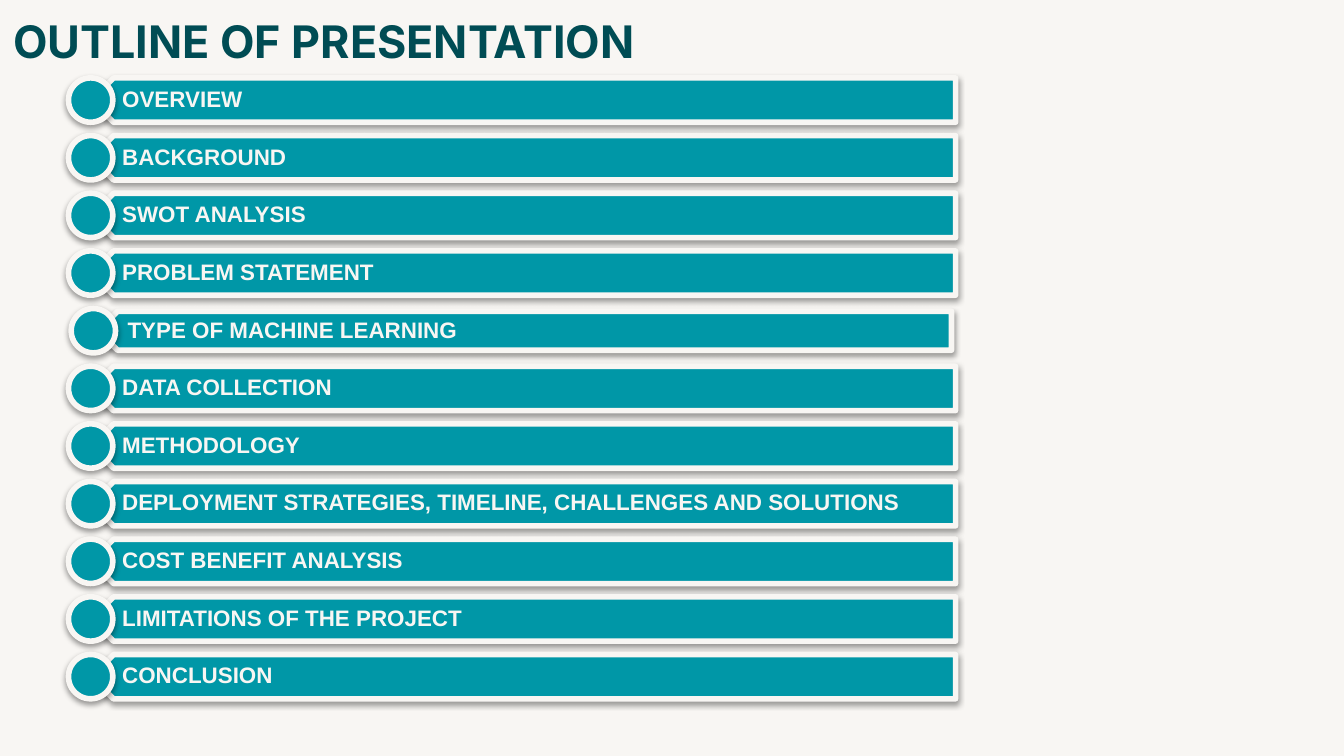
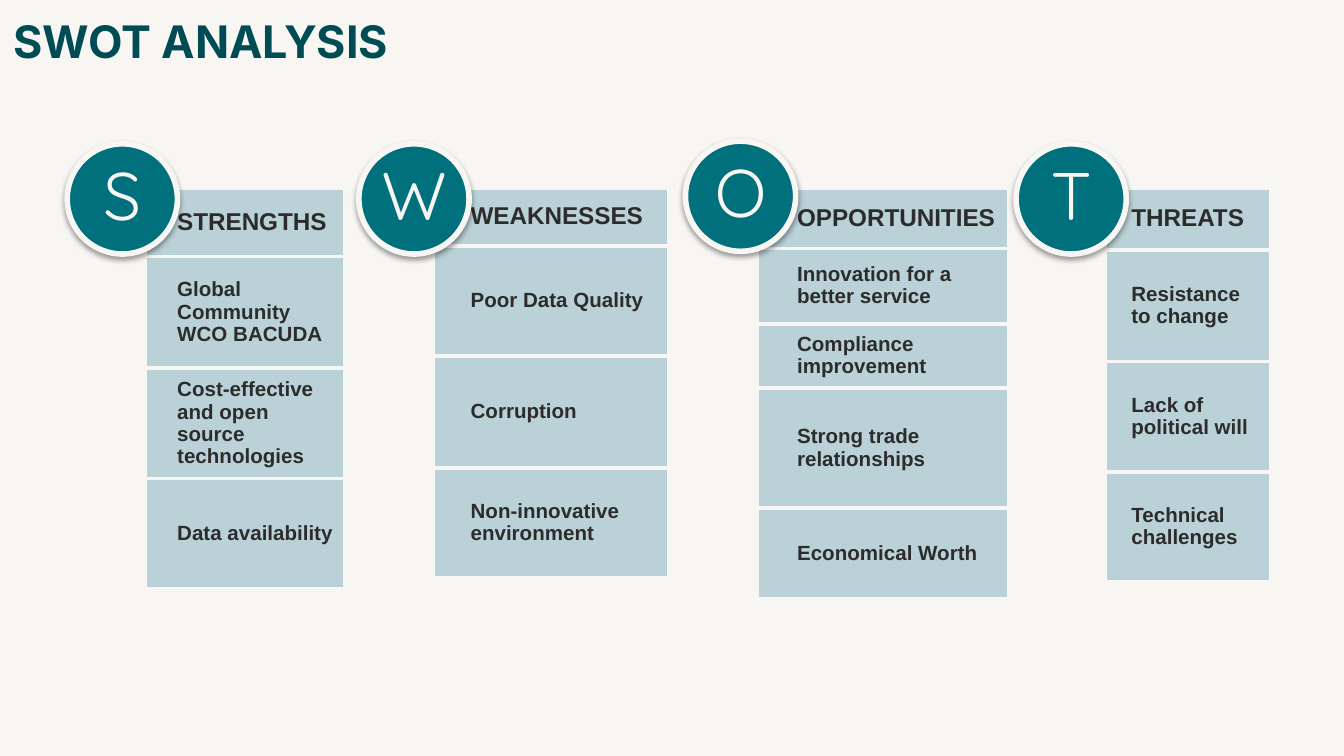
from lxml.etree import SubElement
from pptx import Presentation
from pptx.dml.color import RGBColor
from pptx.enum.shapes import MSO_SHAPE as Shape
from pptx.enum.text import MSO_ANCHOR as Anchor, PP_ALIGN as Align
from pptx.oxml.ns import qn
from pptx.util import Inches, Pt

PAPER = "F8F6F3"
TITLE_TEAL = "004C54"
BAR_TEAL = "0097A7"
BADGE_TEAL = "00707D"
CARD_BLUE = "B4CED5"
INK = "2C2C2C"

AGENDA = [
    "OVERVIEW",
    "BACKGROUND",
    "SWOT ANALYSIS",
    "PROBLEM STATEMENT",
    "TYPE OF MACHINE LEARNING",
    "DATA COLLECTION",
    "METHODOLOGY",
    "DEPLOYMENT STRATEGIES, TIMELINE, CHALLENGES AND SOLUTIONS",
    "COST BENEFIT ANALYSIS",
    "LIMITATIONS OF THE PROJECT",
    "CONCLUSION",
]
NARROW_ITEM = "TYPE OF MACHINE LEARNING"

SWOT = [
    ("S", (0.5, 1.07), (1.08, 1.4, 1.49), [
        ("STRENGTHS", 0.51),
        ("Global Community WCO BACUDA", 0.83),
        ("Cost-effective and open source technologies", 0.82),
        ("Data availability", 0.82),
    ]),
    ("W", (2.67, 1.07), (3.22, 1.4, 1.76), [
        ("WEAKNESSES", 0.43),
        ("Poor Data Quality", 0.82),
        ("Corruption", 0.83),
        ("Non-innovative environment", 0.82),
    ]),
    ("O", (5.1, 1.05), (5.63, 1.4, 1.88), [
        ("OPPORTUNITIES", 0.45),
        ("Innovation for a better service", 0.56),
        ("Compliance improvement", 0.48),
        ("Strong trade relationships", 0.89),
        ("Economical Worth", 0.68),
    ]),
    ("T", (7.56, 1.07), (8.22, 1.4, 1.24), [
        ("THREATS", 0.46),
        ("Resistance to change", 0.83),
        ("Lack of political will", 0.82),
        ("Technical challenges", 0.82),
    ]),
]


def paint(target, hex_color):
    """Give a fill, line or font the colour named by a hex string."""
    if hasattr(target, "solid"):
        target.solid()
        color = target.fore_color
    else:
        color = target.color
    color.rgb = RGBColor.from_string(hex_color)


def write(shape, text, size, color, font="Arial", bold=True, align=Align.LEFT,
          anchor=Anchor.MIDDLE, insets=(0, 0, 0, 0), spacing=0.9, wrap=True):
    """Put one formatted paragraph into a shape."""
    frame = shape.text_frame
    frame.word_wrap = wrap
    frame.vertical_anchor = anchor
    (frame.margin_left, frame.margin_top,
     frame.margin_right, frame.margin_bottom) = map(Inches, insets)
    frame.text = text
    paragraph = frame.paragraphs[0]
    paragraph.alignment = align
    paragraph.line_spacing = spacing
    paragraph.font.name = font
    paragraph.font.size = Pt(size)
    paragraph.font.bold = bold
    paint(paragraph.font, color)


def add_label(slide, box, text, size, color, **style):
    """Add a text box holding one formatted paragraph."""
    write(slide.shapes.add_textbox(*map(Inches, box)), text, size, color, **style)


def add_block(slide, preset, box, fill, line_width=3, alpha=None, raised=False):
    """Add a filled preset shape with a paper-coloured border."""
    block = slide.shapes.add_shape(preset, *map(Inches, box))
    block.shadow.inherit = False
    paint(block.fill, fill)
    paint(block.line, PAPER)
    block.line.width = Pt(line_width)
    properties = block.element.spPr
    if alpha:
        tint = properties.find(qn("a:solidFill")).find(qn("a:srgbClr"))
        SubElement(tint, qn("a:alpha"), val=str(alpha * 1000))
    if raised:
        shadow = SubElement(properties.find(qn("a:effectLst")), qn("a:outerShdw"),
                            blurRad=str(Pt(3.1)), dist=str(Pt(1.6)),
                            dir=str(90 * 60000), rotWithShape="0")
        black = SubElement(shadow, qn("a:srgbClr"), val="000000")
        SubElement(black, qn("a:alpha"), val="38000")
    return block


def add_titled_slide(prs, heading):
    """Add a title-only slide with the shared title style."""
    slide = prs.slides.add_slide(prs.slide_layouts[5])
    title = slide.shapes.title
    title.left, title.top, title.width, title.height = map(Inches, (0, 0, 9.32, 0.63))
    write(title, heading, 24, TITLE_TEAL, font="Inter", anchor=Anchor.TOP,
          insets=(0.1, 0.1, 0.1, 0.1), spacing=1)
    return slide


def add_agenda_row(slide, item, left, top, bar_offset, bar_width, bar_height):
    """Draw one agenda bar with its label and the dot at its left end."""
    dot = 0.33
    bar_left = left + bar_offset
    bar_top = top + (dot - bar_height) / 2
    bar = add_block(slide, Shape.PENTAGON, (bar_left, bar_top, bar_width, bar_height),
                    BAR_TEAL, raised=True)
    bar.rotation = 180
    tip = 0.24 * bar_height
    add_label(slide, (bar_left + tip, bar_top, bar_width - tip, bar_height),
              item, 12, PAPER, insets=(0.15, 0.05, 0.09, 0.05))
    add_block(slide, Shape.OVAL, (left, top, dot, dot), BAR_TEAL, raised=True)


def add_agenda(slide, left, top, height):
    """Spread the agenda rows evenly over the given height."""
    pitch = height / (len(AGENDA) - 1)
    for index, item in enumerate(AGENDA):
        row_top = top + index * pitch
        if item == NARROW_ITEM:
            add_agenda_row(slide, item, left + 0.02, row_top, 0.2, 6.35, 0.29)
        else:
            add_agenda_row(slide, item, left, row_top, 0.17, 6.43, 0.33)


def add_swot_column(slide, letter, badge_at, column, cards):
    """Stack a heading and its cards, then lay the letter badge on the corner."""
    left, top, width = column
    indent = 0.16 * width
    for index, (text, height) in enumerate(cards):
        add_block(slide, Shape.RECTANGLE, (left, top, width, height),
                  CARD_BLUE, line_width=2, alpha=90)
        size, pad = (13, 0.1) if index == 0 else (11, 0.09)
        add_label(slide, (left + indent, top, width - indent, height),
                  text, size, INK, insets=(0, pad, pad, pad))
        top += height
    badge_left, badge_top = badge_at
    add_block(slide, Shape.OVAL, (badge_left, badge_top, 0.82, 0.82),
              BADGE_TEAL, raised=True)
    add_label(slide, (badge_left + 0.12, badge_top + 0.12, 0.58, 0.58), letter, 36, PAPER,
              font="Quicksand", bold=False, align=Align.CENTER)


def main():
    """Build the two slides and save them."""
    prs = Presentation()
    prs.slide_width = Inches(10)
    prs.slide_height = prs.slide_width * 9 // 16
    paint(prs.slide_master.background.fill, PAPER)

    add_agenda(add_titled_slide(prs, "OUTLINE OF PRESENTATION"), 0.51, 0.58, 4.29)

    swot_slide = add_titled_slide(prs, "SWOT ANALYSIS")
    for column in SWOT:
        add_swot_column(swot_slide, *column)

    prs.save("out.pptx")


if __name__ == "__main__":
    main()
